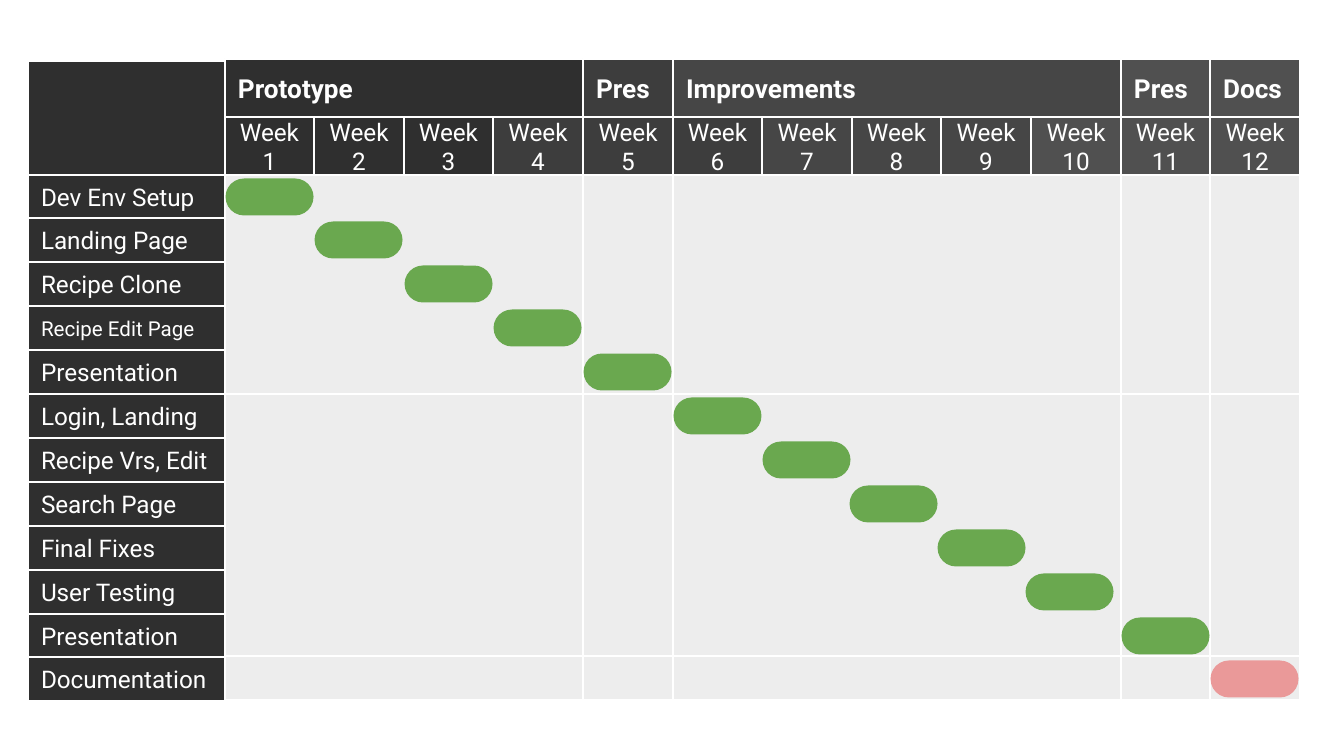
from dataclasses import dataclass

from pptx import Presentation
from pptx.dml.color import RGBColor
from pptx.enum.shapes import MSO_SHAPE
from pptx.enum.text import MSO_ANCHOR, PP_ALIGN
from pptx.util import Emu, Pt

RECTANGLE = MSO_SHAPE.RECTANGLE
PILL = MSO_SHAPE.ROUND_2_SAME_RECTANGLE
MIDDLE = MSO_ANCHOR.MIDDLE
LEFT, CENTER = PP_ALIGN.LEFT, PP_ALIGN.CENTER

PX_PER_INCH = 134.4
PAGE_WIDTH, PAGE_HEIGHT = 1344, 756
LABEL_LEFT, CORNER_TOP = 28, 61
GRID_LEFT, PHASE_TOP, WEEK_TOP, GRID_TOP = 225, 59, 117, 175
WEEKS_PER_SHADE = 3
BAND_EDGES = (GRID_TOP, 394, 656, 700)
ROW_HEIGHT = 44
BAR_LENGTH, BAR_THICKNESS, BAR_GAP_X, BAR_GAP_Y = 88, 37, 1, 3
INSET = 13


@dataclass(frozen=True)
class Theme:
    font: str = "Roboto"
    shades: tuple[str, ...] = ("2F2F2F", "3D3D3D", "464646", "505050")
    panel: str = "EDEDED"
    white: str = "FFFFFF"
    done: str = "6AA84F"
    pending: str = "EA9999"
    phase_size: int = 14
    body_size: int = 13
    small_size: int = 11
    line_width: float = 0.75


THEME = Theme()


@dataclass(frozen=True)
class Box:
    left: int
    top: int
    width: int
    height: int


@dataclass(frozen=True)
class Phase:
    name: str
    first_week: int
    weeks: int
    shade: str


@dataclass(frozen=True)
class Task:
    """One task per week; shift moves its bar sideways."""
    name: str
    size: int = THEME.body_size
    color: str = THEME.done
    shift: int = 0


PHASES = (
    Phase("Prototype", 0, 4, THEME.shades[0]),
    Phase("Pres", 4, 1, THEME.shades[1]),
    Phase("Improvements", 5, 5, THEME.shades[2]),
    Phase("Pres", 10, 1, THEME.shades[3]),
    Phase("Docs", 11, 1, THEME.shades[3]),
)
TASKS = (
    Task("Dev Env Setup"),
    Task("Landing Page"),
    Task("Recipe Clone"),
    Task("Recipe Edit Page", size=THEME.small_size),
    Task("Presentation"),
    Task("Login, Landing"),
    Task("Recipe Vrs, Edit"),
    Task("Search Page", shift=-3),
    Task("Final Fixes", shift=-4),
    Task("User Testing", shift=-6),
    Task("Presentation"),
    Task("Documentation", color=THEME.pending),
)


def px(length: int) -> Emu:
    return Emu(round(length * 914400 / PX_PER_INCH))


def week_left(week: int) -> int:
    return GRID_LEFT + week * 896 // 10


def row_top(row: int) -> int:
    return GRID_TOP + row * 439 // 10


def week_span(first: int, weeks: int, top: int, bottom: int) -> Box:
    left = week_left(first)
    return Box(left, top, week_left(first + weeks) - left, bottom - top)


def add_filled(page, kind, box: Box, color: str):
    shape = page.shapes.add_shape(
        kind, px(box.left), px(box.top), px(box.width), px(box.height))
    shape.shadow.inherit = False
    shape.fill.solid()
    shape.fill.fore_color.rgb = RGBColor.from_string(color)
    return shape


def add_cell(page, box: Box, color: str, text: str = "",
             size: int = THEME.body_size, bold: bool = False, align=LEFT) -> None:
    cell = add_filled(page, RECTANGLE, box, color)
    cell.line.color.rgb = RGBColor.from_string(THEME.white)
    cell.line.width = Pt(THEME.line_width)
    if not text:
        return
    frame = cell.text_frame
    frame.word_wrap = True
    frame.vertical_anchor = MIDDLE
    frame.margin_left = frame.margin_right = px(INSET)
    frame.margin_top = frame.margin_bottom = px(INSET)
    para = frame.paragraphs[0]
    para.alignment = align
    span = para.add_run()
    span.text = text
    span.font.name = THEME.font
    span.font.size = Pt(size)
    span.font.bold = bold
    span.font.color.rgb = RGBColor.from_string(THEME.white)


def add_bar(page, left: int, top: int, color: str) -> None:
    """Draw an upright pill turned on its side about its centre."""
    offset = (BAR_LENGTH - BAR_THICKNESS) // 2
    box = Box(left + offset, top - offset, BAR_THICKNESS, BAR_LENGTH)
    bar = add_filled(page, PILL, box, color)
    bar.line.fill.background()
    bar.adjustments[0] = bar.adjustments[1] = 0.5
    bar.rotation = 90


def add_header(page) -> None:
    label_width = GRID_LEFT - LABEL_LEFT
    corner = Box(LABEL_LEFT, CORNER_TOP, label_width, GRID_TOP - CORNER_TOP)
    add_cell(page, corner, THEME.shades[0])
    for phase in PHASES:
        box = week_span(phase.first_week, phase.weeks, PHASE_TOP, WEEK_TOP)
        add_cell(page, box, phase.shade, phase.name, THEME.phase_size, bold=True)
    for week in range(len(TASKS)):
        box = week_span(week, 1, WEEK_TOP, GRID_TOP)
        shade = THEME.shades[week // WEEKS_PER_SHADE]
        add_cell(page, box, shade, f"Week {week + 1}", align=CENTER)


def add_panels(page) -> None:
    for top, bottom in zip(BAND_EDGES, BAND_EDGES[1:]):
        for phase in PHASES:
            box = week_span(phase.first_week, phase.weeks, top, bottom)
            add_cell(page, box, THEME.panel)


def add_tasks(page) -> None:
    for row, task in enumerate(TASKS):
        top = row_top(row)
        label = Box(LABEL_LEFT, top, GRID_LEFT - LABEL_LEFT, ROW_HEIGHT)
        add_cell(page, label, THEME.shades[0], task.name, task.size)
        add_bar(page, week_left(row) + BAR_GAP_X + task.shift,
                top + BAR_GAP_Y, task.color)


def main() -> None:
    deck = Presentation()
    deck.slide_width, deck.slide_height = px(PAGE_WIDTH), px(PAGE_HEIGHT)
    page = deck.slides.add_slide(deck.slide_layouts.get_by_name("Blank"))
    add_panels(page)
    add_header(page)
    add_tasks(page)
    deck.save("out.pptx")


if __name__ == "__main__":
    main()
